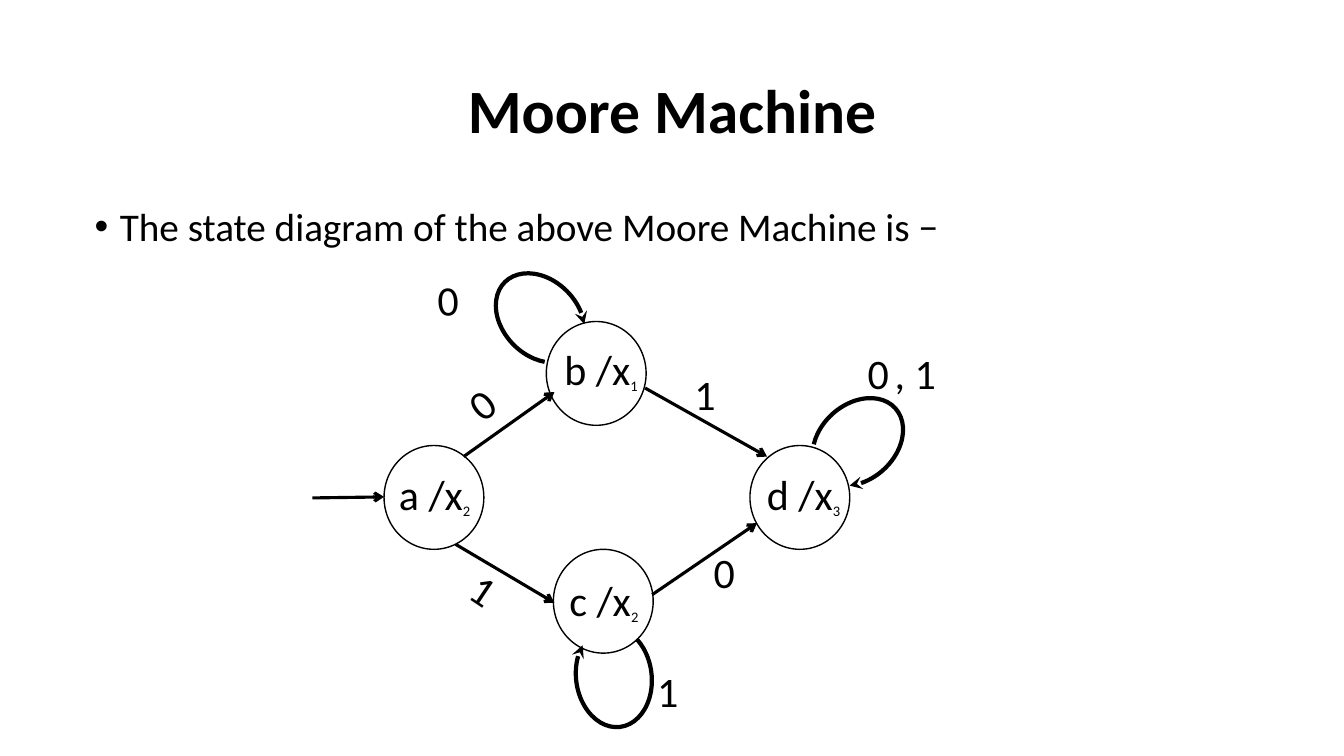
from typing import NamedTuple

from lxml import etree
from pptx import Presentation
from pptx import util as u
from pptx.dml.color import RGBColor
from pptx.enum import shapes, text
from pptx.oxml.ns import qn

BLACK = RGBColor(0, 0, 0)
FONT = "Calibri"
COLUMNS = 40  # square cells, so rows are as high as columns are wide
SLIDE_WIDTH, SLIDE_HEIGHT = u.Inches(13.333), u.Inches(7.5)
STATE_SIZE = (2.97, 3.09)
LOOP_SIZE = (3, 2.25)
LOOP_SWEEP = (23.26, 193.55)
LABEL_HEIGHT = 1.83
LABEL_PT, SMALL_PT = 30, 18


class Piece(NamedTuple):
    words: str
    size: float = LABEL_PT
    bold: bool = False
    subscript: bool = False


class State(NamedTuple):
    name: str
    output: str
    col: float
    row: float
    label_col: float
    label_row: float
    label_width: float


class Transition(NamedTuple):
    col: float
    row: float
    end_col: float
    end_row: float


class Loop(NamedTuple):
    col: float
    row: float
    rotation: float


class InputLabel(NamedTuple):
    pieces: list[Piece]
    col: float
    row: float
    rotation: float = 0
    width: float = 1.26


STATES = [
    State("a", "2", 11.43, 13.26, 11.58, 13.8, 2.79),
    State("b", "1", 16.26, 9.57, 16.5, 10.08, 2.85),
    State("c", "2", 16.47, 16.35, 16.65, 16.95, 2.7),
    State("d", "3", 22.32, 13.26, 22.53, 13.8, 2.85),
]
TRANSITIONS = [
    Transition(9.3, 14.82, 11.43, 14.79),
    Transition(13.8, 13.59, 16.5, 11.67),
    Transition(19.2, 11.55, 22.83, 13.59),
    Transition(13.56, 16.2, 16.5, 17.94),
    Transition(19.41, 17.7, 22.53, 15.57),
]
LOOPS = [
    Loop(14.58, 8.34, 45.5),
    Loop(24.03, 12.03, 138.2),
    Loop(16.77, 19.02, 262.8),
]
INPUT_LABELS = [
    InputLabel([Piece("0")], 13.71, 11.1, 321.6),
    InputLabel([Piece("1")], 13.8, 16.65, 33.7),
    InputLabel([Piece("0")], 12.72, 8.01, 357.3),
    InputLabel([Piece("1")], 19.26, 19.65),
    InputLabel([Piece("0")], 20.94, 16.11),
    InputLabel([Piece("1")], 20.37, 10.83),
    InputLabel([Piece("0"), Piece(" ", SMALL_PT), Piece(", 1")], 25.53, 10.2, width=2.67),
]


def cells(count: float) -> int:
    return round(count * SLIDE_WIDTH / COLUMNS)


def add_text(slide, pieces: list[Piece], col: float, row: float,
             width: float, height: float, wrap: bool = False):
    box = slide.shapes.add_textbox(*map(cells, (col, row, width, height)))
    frame = box.text_frame
    frame.word_wrap = wrap
    frame.auto_size = (text.MSO_AUTO_SIZE.NONE if wrap
                       else text.MSO_AUTO_SIZE.SHAPE_TO_FIT_TEXT)
    for piece in pieces:
        run = frame.paragraphs[0].add_run()
        run.text = piece.words
        run.font.name, run.font.size = FONT, u.Pt(piece.size)
        run.font.bold = piece.bold
        run.font.color.rgb = BLACK
        if piece.subscript:
            run.font._element.set("baseline", "-25000")
    return box


def style_line(shape, width: float, arrowhead: str = "") -> None:
    shape.line.color.rgb = BLACK
    shape.line.width = u.Pt(width)
    if arrowhead:
        etree.SubElement(shape.line._get_or_add_ln(), qn("a:tailEnd"), type=arrowhead)


def add_outline(slide, kind, col: float, row: float, size: tuple[float, float]):
    shape = slide.shapes.add_shape(kind, *map(cells, (col, row, *size)))
    shape.shadow.inherit = False
    shape.fill.background()
    return shape


def add_heading(slide) -> None:
    title = add_text(slide, [Piece("Moore Machine", 44, bold=True)],
                     2.76, 1.2, 34.5, 4.35, wrap=True)
    title.text_frame.vertical_anchor = text.MSO_ANCHOR.MIDDLE
    heading = title.text_frame.paragraphs[0]
    heading.alignment = text.PP_ALIGN.CENTER
    heading.line_spacing = 0.9

    body = add_text(slide, [Piece("The state diagram of the above Moore Machine is −", 28)],
                    2.52, 6.03, 34.5, 14.28, wrap=True)
    intro = body.text_frame.paragraphs[0]
    intro.line_spacing = 0.9
    props = intro._p.get_or_add_pPr()
    props.set("marL", str(u.Inches(0.25)))
    props.set("indent", str(-u.Inches(0.25)))
    etree.SubElement(props, qn("a:buFont"), typeface="Arial")
    etree.SubElement(props, qn("a:buChar"), char="•")


def add_state(slide, state: State) -> None:
    circle = add_outline(slide, shapes.MSO_SHAPE.OVAL, state.col, state.row, STATE_SIZE)
    style_line(circle, 1)
    add_text(slide, [Piece(f"{state.name} /x"), Piece(state.output, SMALL_PT, subscript=True)],
             state.label_col, state.label_row, state.label_width, LABEL_HEIGHT)


def add_transition(slide, transition: Transition) -> None:
    arrow = slide.shapes.add_connector(shapes.MSO_CONNECTOR.STRAIGHT, *map(cells, transition))
    style_line(arrow, 2.25, "arrow")
    etree.SubElement(arrow._element.spPr, qn("a:effectLst"))


def add_loop(slide, loop: Loop) -> None:
    arc = add_outline(slide, shapes.MSO_SHAPE.ARC, loop.col, loop.row, LOOP_SIZE)
    arc.adjustments[0], arc.adjustments[1] = LOOP_SWEEP
    arc.rotation = loop.rotation
    style_line(arc, 3, "stealth")


def main() -> None:
    deck = Presentation()
    deck.slide_width, deck.slide_height = SLIDE_WIDTH, SLIDE_HEIGHT
    slide = deck.slides.add_slide(deck.slide_layouts[6])

    # Title and introduction
    add_heading(slide)

    # State diagram
    for state in STATES:
        add_state(slide, state)
    for transition in TRANSITIONS:
        add_transition(slide, transition)
    for loop in LOOPS:
        add_loop(slide, loop)

    # Inputs beside the arrows
    for label in INPUT_LABELS:
        box = add_text(slide, label.pieces, label.col, label.row, label.width, LABEL_HEIGHT)
        box.rotation = label.rotation

    deck.save("out.pptx")


if __name__ == "__main__":
    main()
